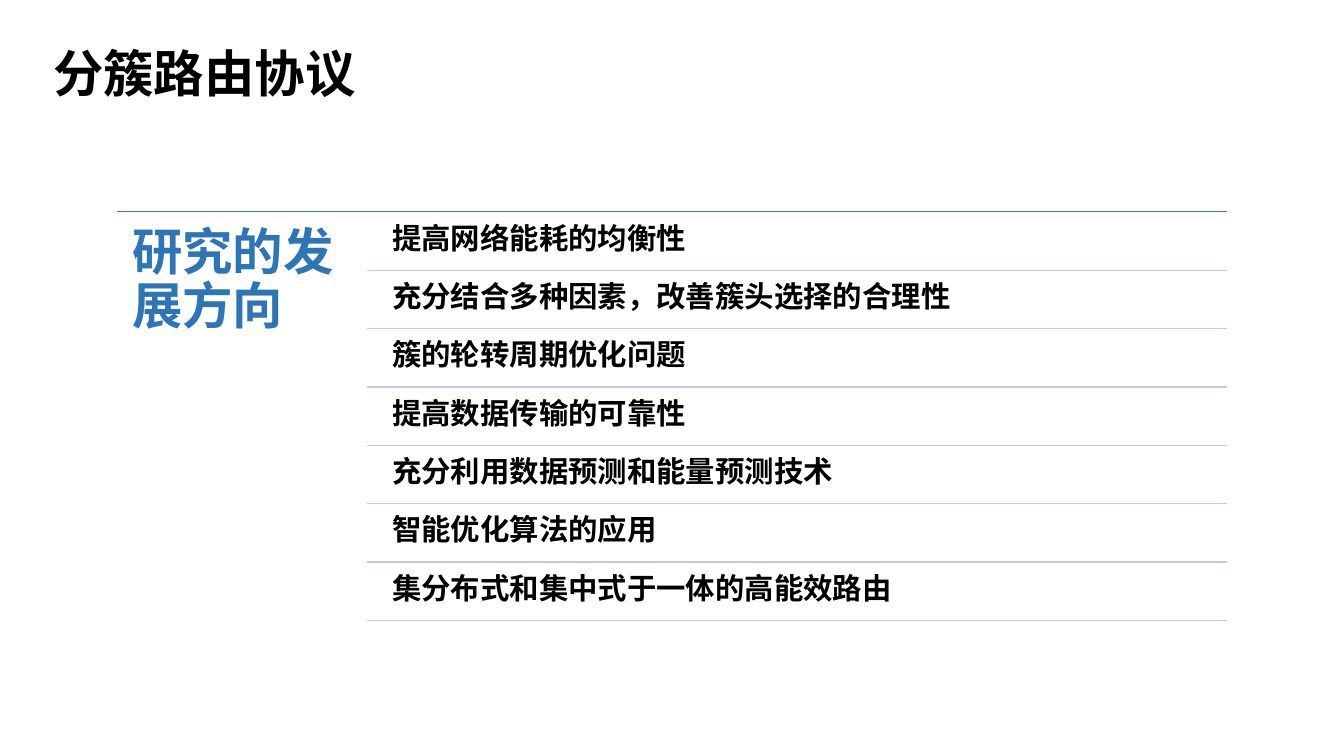
from lxml.etree import SubElement
from pptx import Presentation
from pptx.dml.color import RGBColor
from pptx.enum.shapes import MSO_CONNECTOR as Connector
from pptx.enum.text import MSO_ANCHOR as Anchor, MSO_AUTO_SIZE as AutoSize, PP_ALIGN as Align
from pptx.oxml.ns import qn
from pptx.util import Cm, Pt

BLACK = RGBColor(0x00, 0x00, 0x00)
HEADING_BLUE = RGBColor(0x2E, 0x75, 0xB6)
TOP_RULE = RGBColor(0x44, 0x72, 0xC4)
ROW_RULE = RGBColor(0xC1, 0xC9, 0xE4)
CJK_FONT = "Noto Sans CJK SC"

LEFT, RIGHT, TOP = 2.95, 30.91, 5.33
ROW_LEFT, RULE_LEFT = 9.65, 9.25
ROW_TOP, ROW_HEIGHT, ROW_PITCH = 5.41, 1.4, 1.47

DIRECTIONS = [
    "提高网络能耗的均衡性",
    "充分结合多种因素，改善簇头选择的合理性",
    "簇的轮转周期优化问题",
    "提高数据传输的可靠性",
    "充分利用数据预测和能量预测技术",
    "智能优化算法的应用",
    "集分布式和集中式于一体的高能效路由",
]


def write_text(sp, text, size=21, color=BLACK, font=CJK_FONT, inset=0.23, anchor=Anchor.TOP):
    tf = sp.text_frame
    tf.word_wrap = True
    tf.auto_size = AutoSize.NONE
    tf.vertical_anchor = anchor
    tf.margin_left = tf.margin_right = tf.margin_top = tf.margin_bottom = Cm(inset)
    p = tf.paragraphs[0]
    p.alignment = Align.LEFT
    p.line_spacing = 0.9
    r = p.add_run()
    r.text = text
    r.font.size = Pt(size)
    r.font.bold = True
    r.font.name = font
    r.font.color.rgb = color
    SubElement(r.font._element, qn("a:ea")).set("typeface", CJK_FONT)


def place(sp, left, top, width, height):
    sp.left, sp.top, sp.width, sp.height = Cm(left), Cm(top), Cm(width), Cm(height)


def add_text(slide, box, text, **fmt):
    sp = slide.shapes.add_textbox(*map(Cm, box))
    write_text(sp, text, **fmt)


def add_rule(slide, left, top, color):
    line = slide.shapes.add_connector(Connector.STRAIGHT, Cm(left), Cm(top), Cm(RIGHT), Cm(top))
    line.line.color.rgb = color
    line.line.width = Pt(1)
    SubElement(line._element.spPr, qn("a:effectLst"))


def add_direction(slide, index, text):
    top = ROW_TOP + index * ROW_PITCH
    add_text(slide, (ROW_LEFT, top, RIGHT - ROW_LEFT, ROW_HEIGHT), text)
    add_rule(slide, RULE_LEFT, top + ROW_HEIGHT, ROW_RULE)


def main():
    prs = Presentation()
    prs.slide_width, prs.slide_height = Cm(33.87), Cm(19.05)
    slide = prs.slides.add_slide(prs.slide_layouts[5])
    title = slide.shapes.title
    place(title, 1.09, 0.91, 22.91, 2.03)
    write_text(title, "分簇路由协议", size=36, font="Arial", inset=0.25, anchor=Anchor.MIDDLE)
    add_rule(slide, LEFT, TOP, TOP_RULE)
    add_text(slide, (LEFT, TOP, 6.3, 10.39), "研究的发展方向",
             size=36, color=HEADING_BLUE, font="Arial", inset=0.38)
    for index, text in enumerate(DIRECTIONS):
        add_direction(slide, index, text)
    prs.save("out.pptx")


if __name__ == "__main__":
    main()
